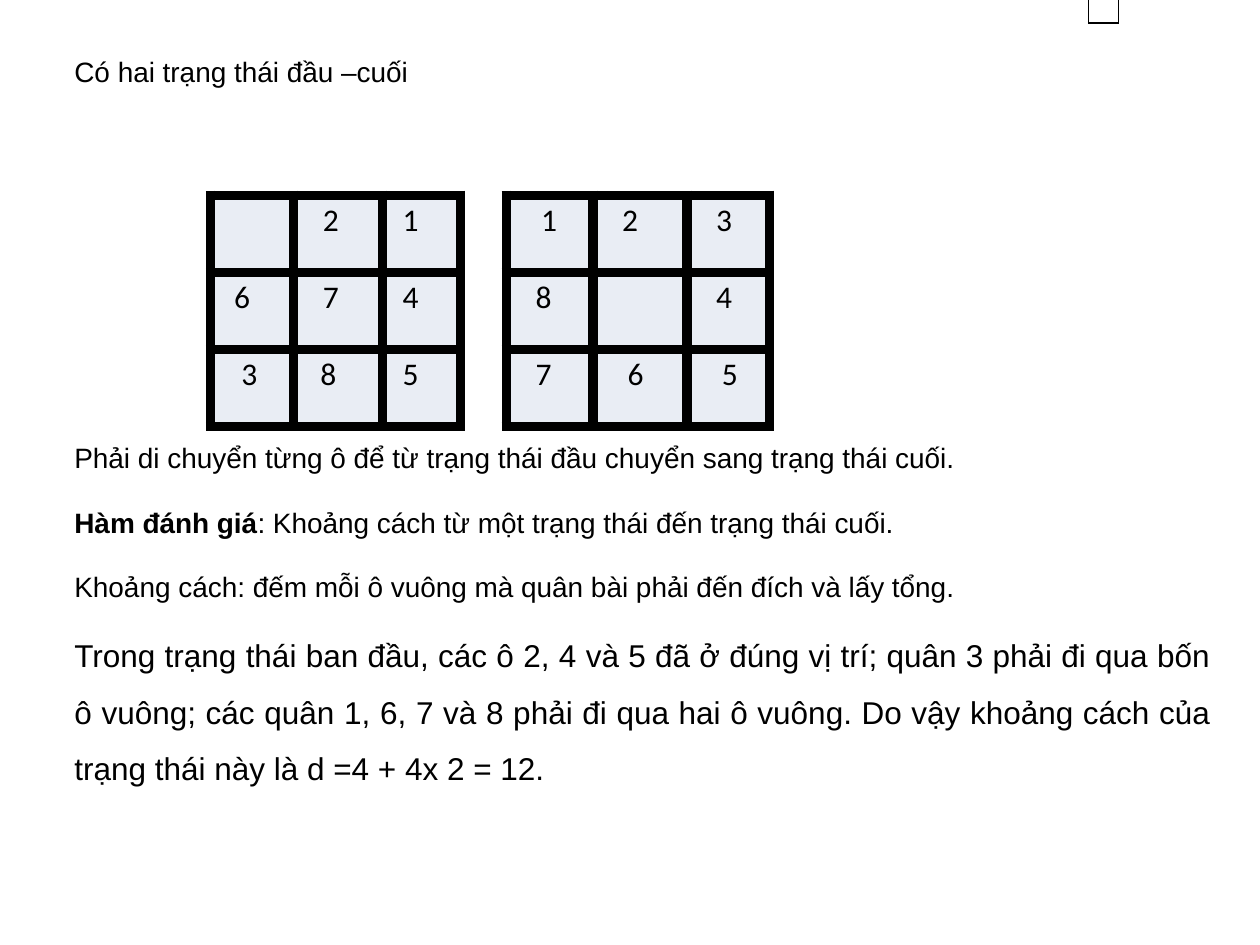
import lxml.etree
import pptx
import pptx.dml.color
import pptx.enum.text
import pptx.oxml.ns
import pptx.util

Pt = pptx.util.Pt
BLACK = "000000"
TILE = "E9EDF4"
ROW_HEIGHT = 44
BOARD_TOP = 111.6
CELL_MARGIN = 7.2
PARAGRAPH_GAP = 8
BOARD_GAP = 192

START_BOARD = [
    [("", 0), ("2", 9.5), ("1", 4.1)],
    [("6", 6.3), ("7", 9.5), ("4", 4.1)],
    [("3", 10.4), ("8", 8.1), ("5", 4.1)],
]
GOAL_BOARD = [
    [("1", 12.7), ("2", 9.5), ("3", 9.5)],
    [("8", 9.5), ("", 0), ("4", 9.5)],
    [("7", 9.5), ("6", 12.7), ("5", 12.7)],
]
PARAGRAPHS = [
    ([("Có hai trạng thái đầu –cuối", False)], 16, PARAGRAPH_GAP),
    ([("Phải di chuyển từng ô để từ trạng thái đầu chuyển sang trạng thái cuối.", False)],
     16, BOARD_GAP),
    ([("Hàm đánh giá", True),
      (": Khoảng cách từ một trạng thái đến trạng thái cuối.", False)], 16, PARAGRAPH_GAP),
    ([("Khoảng cách: đếm mỗi ô vuông mà quân bài phải đến đích và lấy tổng.", False)],
     16, PARAGRAPH_GAP),
    ([("Trong trạng thái ban đầu, các ô 2, 4 và 5 đã ở đúng vị trí; quân 3 phải đi qua bốn "
       "ô vuông; các quân 1, 6, 7 và 8 phải đi qua hai ô vuông. Do vậy khoảng cách của "
       "trạng thái này là d =4 + 4x 2 = 12.", False)], 18, PARAGRAPH_GAP),
]


def rgb(value):
    """Return the colour for a hex string."""
    return pptx.dml.color.RGBColor.from_string(value)


def add_text(paragraph, text, size=18, font="Arial", color=BLACK, bold=False):
    """Append a formatted run to a paragraph."""
    run = paragraph.add_run()
    run.text = text
    run.font.size = Pt(size)
    run.font.name = font
    run.font.bold = bold
    run.font.color.rgb = rgb(color)


def remove_bullet(paragraph):
    """Clear the bullet and hanging indent of a paragraph."""
    properties = paragraph._p.get_or_add_pPr()
    properties.set("marL", "0")
    properties.set("indent", "0")
    lxml.etree.SubElement(properties, pptx.oxml.ns.qn("a:buNone"))


def fill_body(body):
    """Place the body placeholder and write its justified paragraphs."""
    body.left, body.top, body.width, body.height = Pt(35.3), Pt(18), Pt(663.8), Pt(518.4)
    frame = body.text_frame
    frame.word_wrap = True
    frame.auto_size = pptx.enum.text.MSO_AUTO_SIZE.NONE
    for index, (runs, size, gap) in enumerate(PARAGRAPHS):
        paragraph = frame.add_paragraph() if index else frame.paragraphs[0]
        paragraph.alignment = pptx.enum.text.PP_ALIGN.JUSTIFY
        paragraph.line_spacing = 1.5
        paragraph.space_before = Pt(gap)
        paragraph.space_after = Pt(0)
        remove_bullet(paragraph)
        for text, bold in runs:
            add_text(paragraph, text, size=size, bold=bold)


def set_borders(cell, width):
    """Draw a solid black border on the four sides of a cell."""
    properties = cell._tc.get_or_add_tcPr()
    for side in ("lnL", "lnR", "lnT", "lnB"):
        line = lxml.etree.SubElement(properties, pptx.oxml.ns.qn(f"a:{side}"), w=str(Pt(width)))
        fill = lxml.etree.SubElement(line, pptx.oxml.ns.qn("a:solidFill"))
        lxml.etree.SubElement(fill, pptx.oxml.ns.qn("a:srgbClr"), val=BLACK)


def add_grid(slide, left, top, widths, row_height, rows, border, fill=None):
    """Add a bordered table whose rows hold (text, indent) pairs."""
    shape = slide.shapes.add_table(len(rows), len(widths), Pt(left), Pt(top),
                                   Pt(sum(widths)), Pt(row_height * len(rows)))
    table = shape.table
    table.first_row = table.horz_banding = False
    for column, width in zip(table.columns, widths):
        column.width = Pt(width)
    for row_index, row in enumerate(rows):
        for column_index, (text, indent) in enumerate(row):
            cell = table.cell(row_index, column_index)
            set_borders(cell, border)
            cell.margin_left = Pt(CELL_MARGIN + indent)
            if fill:
                cell.fill.solid()
                cell.fill.fore_color.rgb = rgb(fill)
            else:
                cell.fill.background()
            if text:
                add_text(cell.text_frame.paragraphs[0], text, font="Calibri")
    return table


def main():
    """Build the sliding puzzle slide."""
    presentation = pptx.Presentation()
    presentation.slide_width, presentation.slide_height = Pt(720), Pt(540)
    slide = presentation.slides.add_slide(presentation.slide_layouts[1])
    title = slide.shapes.title
    title._element.getparent().remove(title._element)
    fill_body(slide.placeholders[1])
    add_grid(slide, 120.3, BOARD_TOP, [47.5, 51, 44.5], ROW_HEIGHT, START_BOARD, 6, TILE)
    small_box = add_grid(slide, 622, -10.8, [16.8], 24, [[("", 0)]], 1)
    small_box.cell(0, 0).margin_top = small_box.cell(0, 0).margin_bottom = Pt(0)
    add_grid(slide, 289.3, BOARD_TOP, [49.5, 53.8, 47], ROW_HEIGHT, GOAL_BOARD, 6, TILE)
    presentation.save("out.pptx")


if __name__ == "__main__":
    main()
